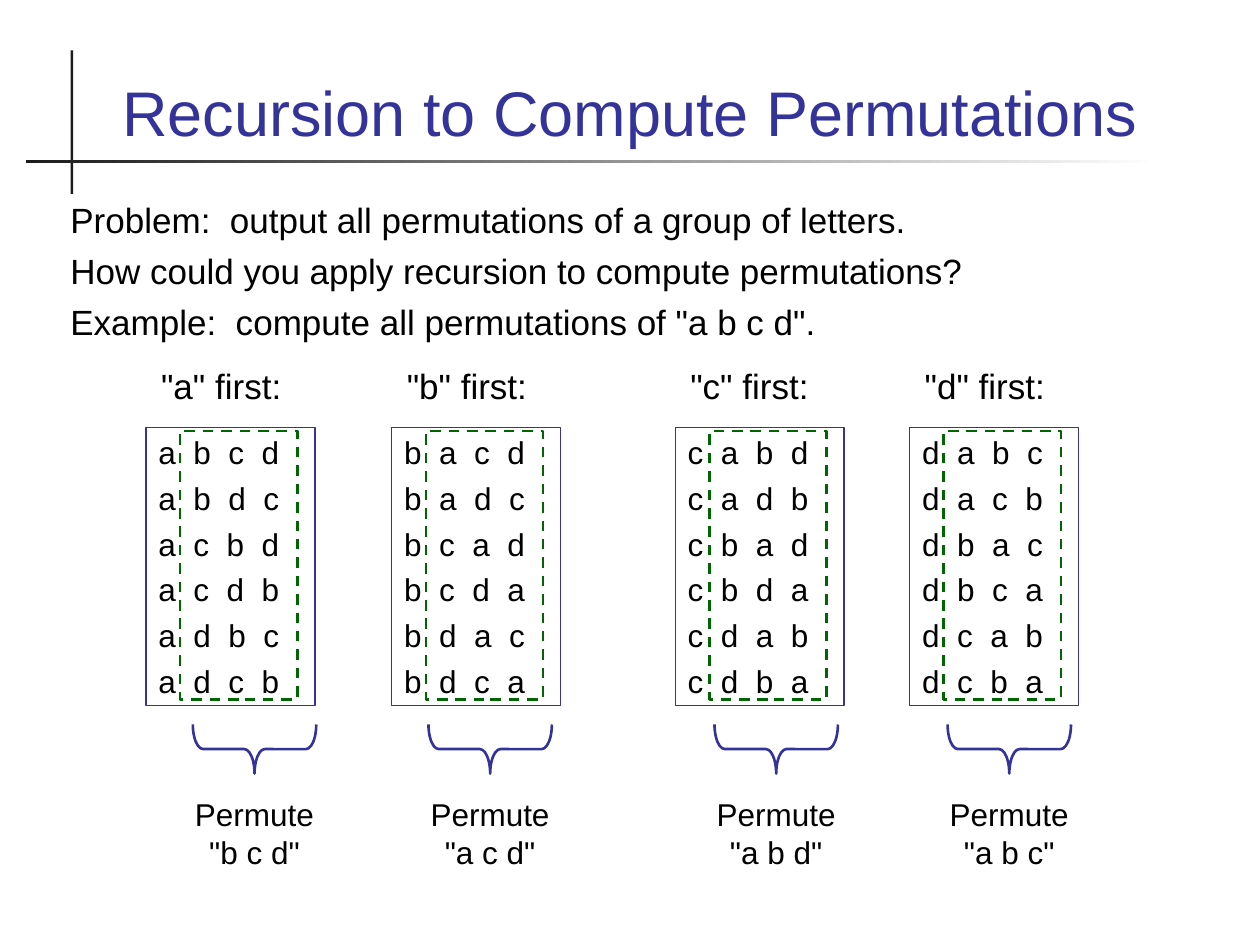
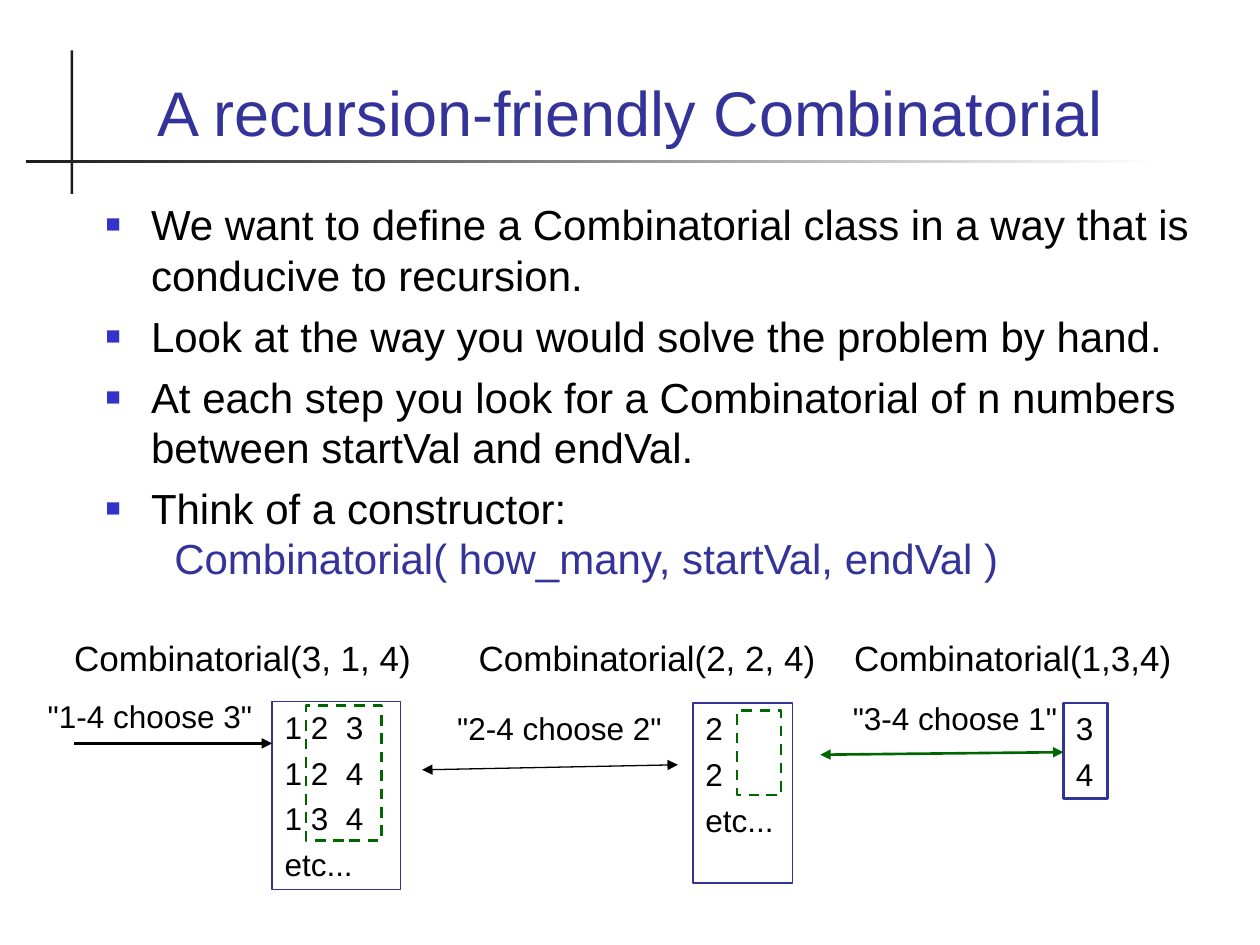
from dataclasses import dataclass
from itertools import permutations
from typing import Any, NamedTuple

from lxml.etree import SubElement as Sub
from pptx import Presentation
from pptx.dml.color import RGBColor as Rgb
from pptx.enum.dml import MSO_LINE as Dash
from pptx.enum.shapes import MSO_CONNECTOR as Link, MSO_SHAPE as Kind
from pptx.enum.text import MSO_ANCHOR as Anchor, PP_ALIGN as Align
from pptx.oxml.ns import qn
from pptx.util import Inches, Pt

# The slide is a grid of 100 columns by 75 rows.
COLS, ROWS = 100, 75
CELL = Inches(10) / COLS


@dataclass(frozen=True)
class Theme:
    """Colours, font and type sizes of the deck."""
    font: str = "Arial"
    blue: Rgb = Rgb(0x33, 0x33, 0x99)
    mark: Rgb = Rgb(0x33, 0x33, 0xCC)
    green: Rgb = Rgb(0, 0x66, 0)
    ink: Rgb = Rgb(0, 0, 0)
    dark: Rgb = Rgb(0x1C, 0x1C, 0x1C)
    white: Rgb = Rgb(0xFF, 0xFF, 0xFF)
    title: float = 36
    point: float = 24
    body: float = 20
    small: float = 18
    thin: float = 0.75
    thick: float = 1.5


T = Theme()


class Box(NamedTuple):
    """A place on the grid, in columns and rows."""
    x: float
    y: float
    w: float
    h: float


class Group(NamedTuple):
    """One first letter, the column of its list and of its brace's middle."""
    first: str
    left: float
    mid: float


class Step(NamedTuple):
    """One call: its text, its label, and the list it gives."""
    call: str
    call_x: float
    label: str
    label_at: Box
    rows: list[str]
    rows_at: Box
    edge: float
    rest: Box | None


class Arrow(NamedTuple):
    """A line between two grid points, with one head or two."""
    x1: float
    y1: float
    x2: float
    y2: float
    color: Rgb
    width: float
    both: bool


@dataclass(frozen=True)
class Style:
    """How a block of text is set."""
    size: float = T.small
    color: Rgb = T.ink
    before: float = 4.5
    align: Any = Align.LEFT
    anchor: Any = Anchor.TOP


TITLE = Style(T.title, T.blue, 0, Align.CENTER, Anchor.BOTTOM)
POINT = Style(T.point, before=6)
BODY = Style(T.body, before=5)
LIST = Style()
NOTE = Style(align=Align.CENTER)


def span(*cells: float) -> list[int]:
    """Turn grid lengths into slide units."""
    return [round(c * CELL) for c in cells]


def assign(item: Any, values: dict[str, Any]) -> None:
    """Set each named value on the item."""
    for name, value in values.items():
        setattr(item, name, value)


def write(shape: Any, lines: list[str], style: Style) -> list[Any]:
    """Fill a shape with one paragraph per line and return them."""
    frame = shape.text_frame
    assign(frame, {"word_wrap": True, "vertical_anchor": style.anchor})
    paras = [frame.paragraphs[0]] + [frame.add_paragraph() for _ in lines[1:]]
    for para, line in zip(paras, lines):
        assign(para, {"text": line, "alignment": style.align,
                      "space_before": Pt(style.before)})
        for run in para.runs:
            assign(run.font, {"name": T.font, "size": Pt(style.size)})
            run.font.color.rgb = style.color
    return paras


def text(slide: Any, at: Box, lines: list[str], style: Style) -> list[Any]:
    """Add a text box."""
    return write(slide.shapes.add_textbox(*span(*at)), lines, style)


def outline(slide: Any, at: Box, color: Rgb, width: float,
            kind: Any = Kind.RECTANGLE) -> Any:
    """Add a shape with a line and no fill."""
    shape = slide.shapes.add_shape(kind, *span(*at))
    shape.shadow.inherit = False
    shape.fill.background()
    shape.line.color.rgb = color
    shape.line.width = Pt(width)
    return shape


def listing(slide: Any, at: Box, rows: list[str], edge: float) -> None:
    """Add a framed list."""
    write(outline(slide, at, T.blue, edge), rows, LIST)


def dashed(slide: Any, at: Box) -> None:
    """Add the dashed frame round the part left to recursion."""
    outline(slide, at, T.green, T.thick).line.dash_style = Dash.DASH


def brace(slide: Any, mid: float, top: float, wide: float, tall: float) -> None:
    """Add a brace that points down; it is a right brace turned a quarter."""
    at = Box(mid - tall / 2, top + (tall - wide) / 2, tall, wide)
    shape = outline(slide, at, T.blue, T.thick, Kind.RIGHT_BRACE)
    shape.rotation = 90
    shape.adjustments[0] = 0.21


def arrow(slide: Any, a: Arrow) -> None:
    """Add an arrow."""
    ends = span(a.x1, a.y1, a.x2, a.y2)
    line = slide.shapes.add_connector(Link.STRAIGHT, *ends)
    line.line.color.rgb = a.color
    line.line.width = Pt(a.width)
    props = line.element.spPr
    stroke = props.find(qn("a:ln"))
    for end in ["headEnd", "tailEnd"] if a.both else ["tailEnd"]:
        Sub(stroke, qn(f"a:{end}"), type="triangle")
    Sub(props, qn("a:effectLst"))


def bullet(para: Any) -> None:
    """Give a paragraph a small square bullet and a hanging indent."""
    props = para._p.get_or_add_pPr()
    hang = Inches(0.36)
    props.set("marL", str(hang))
    props.set("indent", str(-hang))
    Sub(Sub(props, qn("a:buClr")), qn("a:srgbClr"), val=str(T.mark))
    Sub(props, qn("a:buSzPct"), val="60000")
    Sub(props, qn("a:buFont"), typeface=T.font)
    Sub(props, qn("a:buChar"), char="■")


def start(deck: Any, title: str) -> Any:
    """Add a slide with the crossed rules and its title."""
    slide = deck.slides.add_slide(deck.slide_layouts[6])
    post = outline(slide, Box(5.6, 4, 0.2, 11.4), T.dark, T.thin)
    rule = outline(slide, Box(2.1, 12.7, 89.9, 0.2), T.dark, T.thin)
    for bar in (post, rule):
        bar.line.fill.background()
    post.fill.solid()
    post.fill.fore_color.rgb = T.dark
    rule.fill.gradient()
    rule.fill.gradient_angle = 180
    for stop, color in zip(rule.fill.gradient_stops, (T.white, T.dark)):
        stop.color.rgb = color
    text(slide, Box(6.7, 2.8, 86.6, 9.5), [title], TITLE)
    return slide


def permute(deck: Any) -> None:
    """Build the slide on permutations."""
    slide = start(deck, "Recursion to Compute Permutations")
    text(slide, Box(4.6, 15.3, 86.6, 16.6), [
        "Problem:  output all permutations of a group of letters.",
        "How could you apply recursion to compute permutations?",
        'Example:  compute all permutations of "a b c d".'], BODY)
    letters = "abcd"
    groups = [Group("a", 11.6, 20.2), Group("b", 31.1, 38.9),
              Group("c", 53.6, 61.6), Group("d", 72.2, 80.1)]
    for first, left, mid in groups:
        rest = letters.replace(first, "")
        rows = ["  ".join((first, *tail)) for tail in permutations(rest)]
        text(slide, Box(left + 0.2, 28.4, 12.5, 4.4), [f'"{first}" first:'], BODY)
        listing(slide, Box(left, 33.9, 13.4, 22.1), rows, T.thin)
        dashed(slide, Box(left + 2.7, 34.2, 9.3, 21.3))
        brace(slide, mid, 57.5, 9.8, 3.9)
        text(slide, Box(mid - 6.8, 62.6, 13.6, 7),
             [f'Permute\v"{" ".join(rest)}"'], NOTE)


def combine(deck: Any) -> None:
    """Build the slide on combinations."""
    slide = start(deck, "A recursion-friendly Combinatorial")
    points = text(slide, Box(7.4, 15.3, 88.2, 30.7), [
        "We want to define a Combinatorial class in a way that is "
        "conducive to recursion.",
        "Look at the way you would solve the problem by hand.",
        "At each step you look for a Combinatorial of n numbers "
        "between startVal and endVal.",
        "Think of a constructor:\v  Combinatorial( how_many, startVal, endVal )",
    ], POINT)
    for para in points:
        bullet(para)
    points[-1].runs[-1].font.color.rgb = T.blue

    steps = [
        Step("Combinatorial(3, 1, 4)", 4.9,
             '"1-4 choose 3"', Box(2.8, 54.8, 18.8, 4),
             ["1 2  3", "1 2  4", "1 3  4", "etc..."],
             Box(21.6, 55.7, 10.2, 14.9), T.thin, Box(24.3, 56, 6, 10.7)),
        Step("Combinatorial(2, 2, 4)", 37,
             '"2-4 choose 2"', Box(35.3, 55.8, 18.8, 4),
             ["2", "2", "etc..."],
             Box(55, 55.8, 7.9, 14.3), T.thin, Box(58.5, 56.4, 3.5, 6.7)),
        Step("Combinatorial(1,3,4)", 66.8,
             '"3-4 choose 1"', Box(66.7, 55, 21, 4),
             ["3", "4"],
             Box(84.4, 55.8, 3.5, 7.6), T.thick, None),
    ]
    for step in steps:
        text(slide, Box(step.call_x, 50, 30, 4.4), [step.call], BODY)
        text(slide, step.label_at, [step.label], LIST)
        listing(slide, step.rows_at, step.rows, step.edge)
        if step.rest:
            dashed(slide, step.rest)
    for item in (Arrow(5.9, 59, 21.6, 59, T.ink, T.thick, False),
                 Arrow(33.5, 61.1, 53.8, 60.7, T.ink, T.thin, True),
                 Arrow(65.1, 59.9, 84.4, 59.7, T.green, T.thick, True)):
        arrow(slide, item)


def main() -> None:
    """Build and save the deck."""
    deck = Presentation()
    deck.slide_width, deck.slide_height = span(COLS, ROWS)
    permute(deck)
    combine(deck)
    deck.save("out.pptx")


main()
